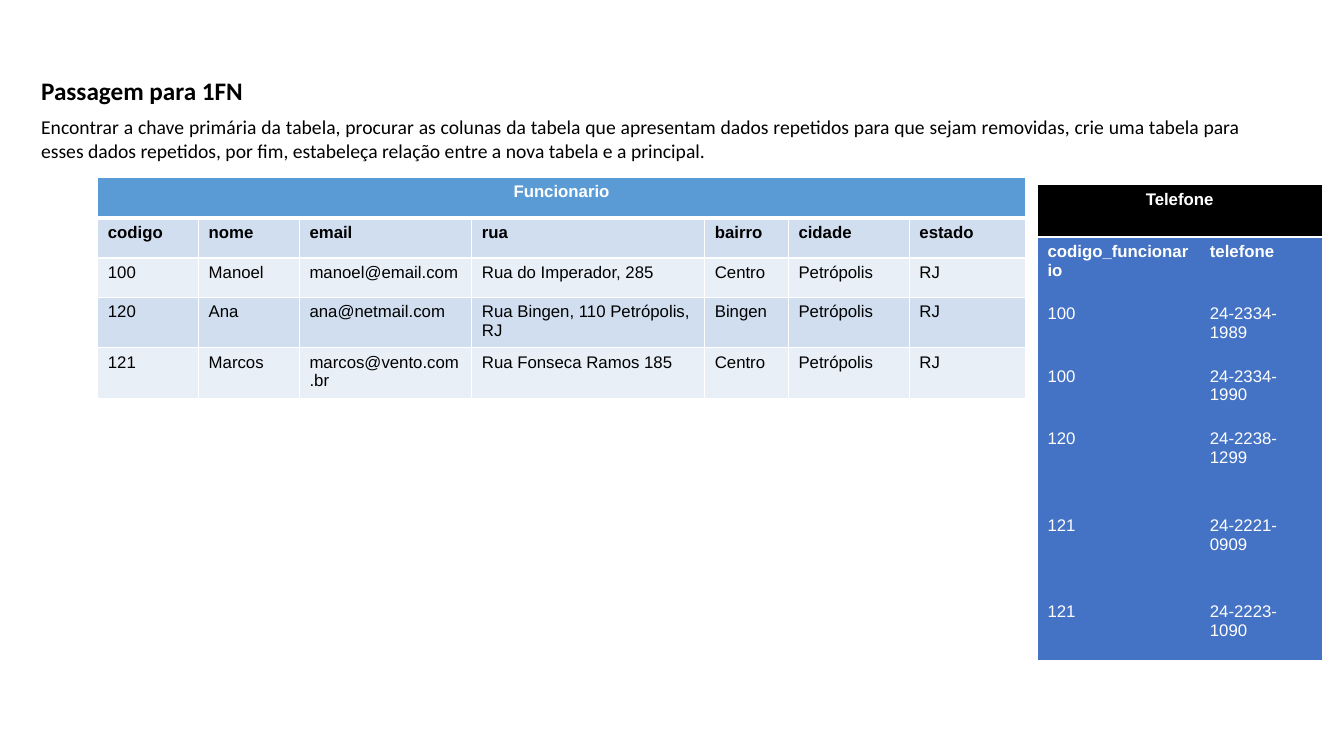
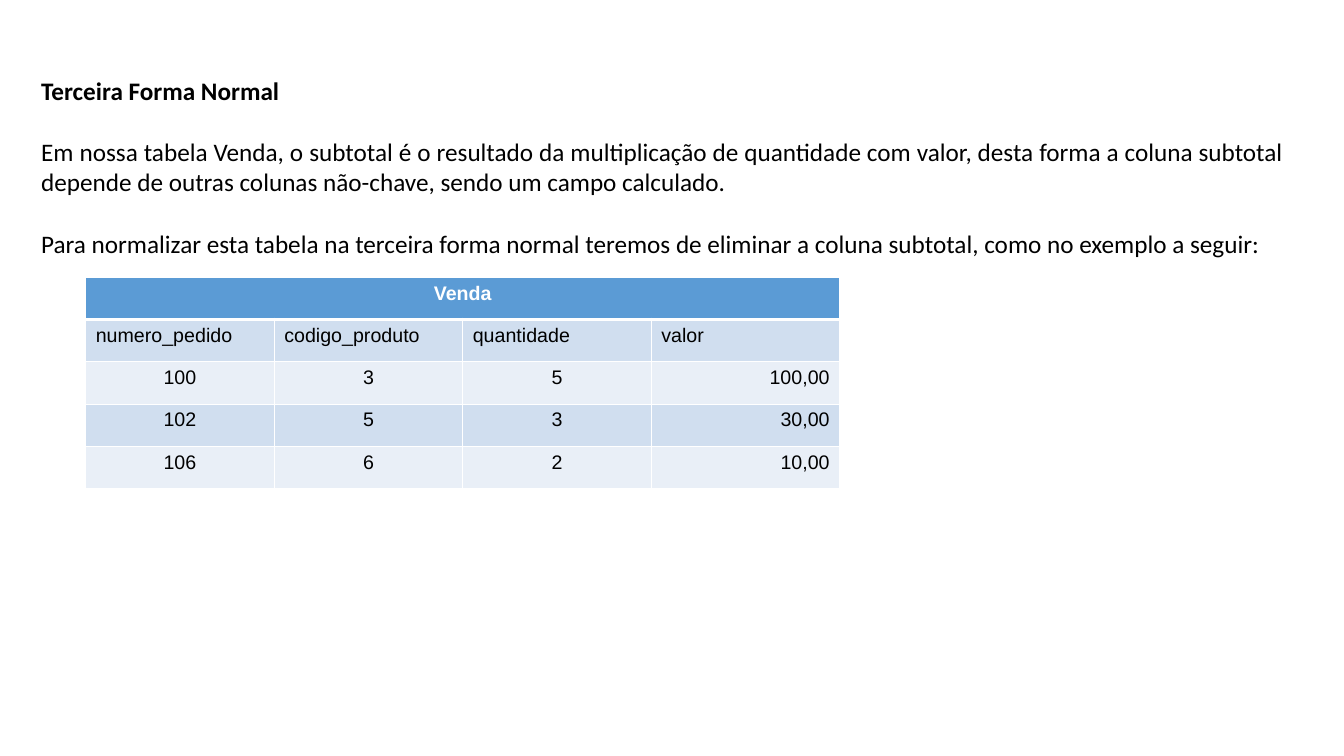
from lxml.etree import SubElement as Sub
from pptx import Presentation
from pptx.dml.color import RGBColor
from pptx.enum.text import MSO_AUTO_SIZE as Auto, PP_ALIGN as Align
from pptx.oxml.ns import qn
from pptx.util import Inches, Pt

WHITE, BLACK = "FFFFFF", "000000"
BLUE, PALE, PALER, ROYAL = "5B9BD5", "D0DEEF", "E9EFF7", "4472C4"
NO_STYLE = "{2D5ABB26-0587-4C30-8999-92F81FD0307C}"
LEFT, CENTER, RIGHT = Align.LEFT, Align.CENTER, Align.RIGHT

LIGHT = {"head": BLUE, "bands": (PALE, PALER), "ink": BLACK, "grid": 1, "rule": 3}
DARK = {"head": BLACK, "bands": (ROYAL,), "ink": WHITE, "grid": 0, "rule": 2}

STAFF = {
    "title": "Funcionario", "look": LIGHT, "at": (0.97, 1.76), "size": 12,
    "cols": (1, 1, 1.71, 2.31, 0.83, 1.2, 1.15),
    "heights": (0.4, 0.4, 0.39, 0.5, 0.5),
    "bold": True, "align": (LEFT,) * 7,
    "rows": [
        ("codigo", "nome", "email", "rua", "bairro", "cidade", "estado"),
        ("100", "Manoel", "manoel@email.com", "Rua do Imperador, 285",
         "Centro", "Petrópolis", "RJ"),
        ("120", "Ana", "ana@netmail.com", "Rua Bingen, 110 Petrópolis, RJ",
         "Bingen", "Petrópolis", "RJ"),
        ("121", "Marcos", "marcos@vento.com.br", "Rua Fonseca Ramos 185",
         "Centro", "Petrópolis", "RJ"),
    ],
}
PHONES = {
    "title": "Telefone", "look": DARK, "at": (10.29, 1.84), "size": 12,
    "cols": (1.61, 1.21),
    "heights": (0.51, 0.62, 0.62, 0.62, 0.86, 0.86, 0.62),
    "bold": True, "align": (LEFT,) * 2,
    "rows": [
        ("codigo_funcionario", "telefone"),
        ("100", "24-2334-1989"),
        ("100", "24-2334-1990"),
        ("120", "24-2238-1299"),
        ("121", "24-2221-0909"),
        ("121", "24-2223-1090"),
    ],
}
SALES = {
    "title": "Venda", "look": LIGHT, "at": (0.85, 2.75), "size": 14,
    "cols": (1.87,) * 4, "heights": (0.42,) * 5,
    "bold": False, "align": (CENTER, CENTER, CENTER, RIGHT),
    "rows": [
        ("numero_pedido", "codigo_produto", "quantidade", "valor"),
        ("100", "3", "5", "100,00"),
        ("102", "5", "3", "30,00"),
        ("106", "6", "2", "10,00"),
    ],
}
SLIDES = [
    {
        "title": "Passagem para 1FN", "box": (12.1, 0.96), "size": 14, "gap": 6.6,
        "body": [
            "Encontrar a chave primária da tabela, procurar as colunas da tabela que "
            "apresentam dados repetidos para que sejam removidas, crie uma tabela para "
            "esses dados repetidos, por fim, estabeleça relação entre a nova tabela e "
            "a principal.",
        ],
        "tables": [STAFF, PHONES],
    },
    {
        "title": "Terceira Forma Normal", "box": (12.52, 2.22), "size": 18, "gap": 22,
        "body": [
            "Em nossa tabela Venda, o subtotal é o resultado da multiplicação de "
            "quantidade com valor, desta forma a coluna subtotal depende de outras "
            "colunas não-chave, sendo um campo calculado.",
            "Para normalizar esta tabela na terceira forma normal teremos de eliminar "
            "a coluna subtotal, como no exemplo a seguir:",
        ],
        "tables": [SALES],
    },
]


def color(code):
    return RGBColor.from_string(code)


def style(para, face, size, ink, bold, align):
    para.alignment = align
    font = para.font
    font.name, font.size, font.bold = face, Pt(size), bold
    font.color.rgb = color(ink)


def add_text(slide, page):
    box = slide.shapes.add_textbox(
        Inches(0.31), Inches(0.7), *map(Inches, page["box"]))
    frame = box.text_frame
    frame.word_wrap = True
    frame.auto_size = Auto.SHAPE_TO_FIT_TEXT
    lines = [page["title"], *page["body"]]
    for i, line in enumerate(lines):
        para = frame.paragraphs[0] if i == 0 else frame.add_paragraph()
        para.text = line
        style(para, "Calibri", page["size"] if i else 18, BLACK, i == 0, Align.JUSTIFY)
        if i < len(lines) - 1:
            para.space_after = Pt(page["gap"])


def set_edges(cell, widths):
    """Draw white cell borders; widths in points run left, right, top, bottom."""
    props = cell._tc.get_or_add_tcPr()
    for side, width in zip("LRTB", widths):
        edge = Sub(props, qn(f"a:ln{side}"), w=str(Pt(width)))
        if width:
            fill = Sub(edge, qn("a:solidFill"))
            Sub(fill, qn("a:srgbClr"), val=WHITE)
        else:
            Sub(edge, qn("a:noFill"))


def add_table(slide, data):
    look, cols, heights = data["look"], data["cols"], data["heights"]
    left, top = data["at"]
    table = slide.shapes.add_table(
        len(heights), len(cols), Inches(left), Inches(top),
        Inches(sum(cols)), Inches(sum(heights))).table
    table._tbl.tblPr.find(qn("a:tableStyleId")).text = NO_STYLE
    for col, width in zip(table.columns, cols):
        col.width = Inches(width)
    for row, height in zip(table.rows, heights):
        row.height = Inches(height)

    grid, rule, bands = look["grid"], look["rule"], look["bands"]
    for r in range(len(heights)):
        for c in range(len(cols)):
            cell = table.cell(r, c)
            set_edges(cell, (grid, grid, rule if r == 1 else grid,
                             rule if r == 0 else grid))
            cell.fill.solid()
            cell.fill.fore_color.rgb = color(
                bands[(r - 1) % len(bands)] if r else look["head"])
            if r:
                cell.text = data["rows"][r - 1][c]
                style(cell.text_frame.paragraphs[0], "Arial", data["size"],
                      look["ink"], data["bold"] and r == 1,
                      LEFT if r == 1 else data["align"][c])

    head = table.cell(0, 0)
    head.merge(table.cell(0, len(cols) - 1))
    head.text = data["title"]
    style(head.text_frame.paragraphs[0], "Arial", data["size"], WHITE, True, CENTER)


def main():
    deck = Presentation()
    deck.slide_width, deck.slide_height = Inches(13.33), Inches(7.5)
    for page in SLIDES:
        slide = deck.slides.add_slide(deck.slide_layouts[6])
        add_text(slide, page)
        for data in page["tables"]:
            add_table(slide, data)
    deck.save("out.pptx")


if __name__ == "__main__":
    main()
